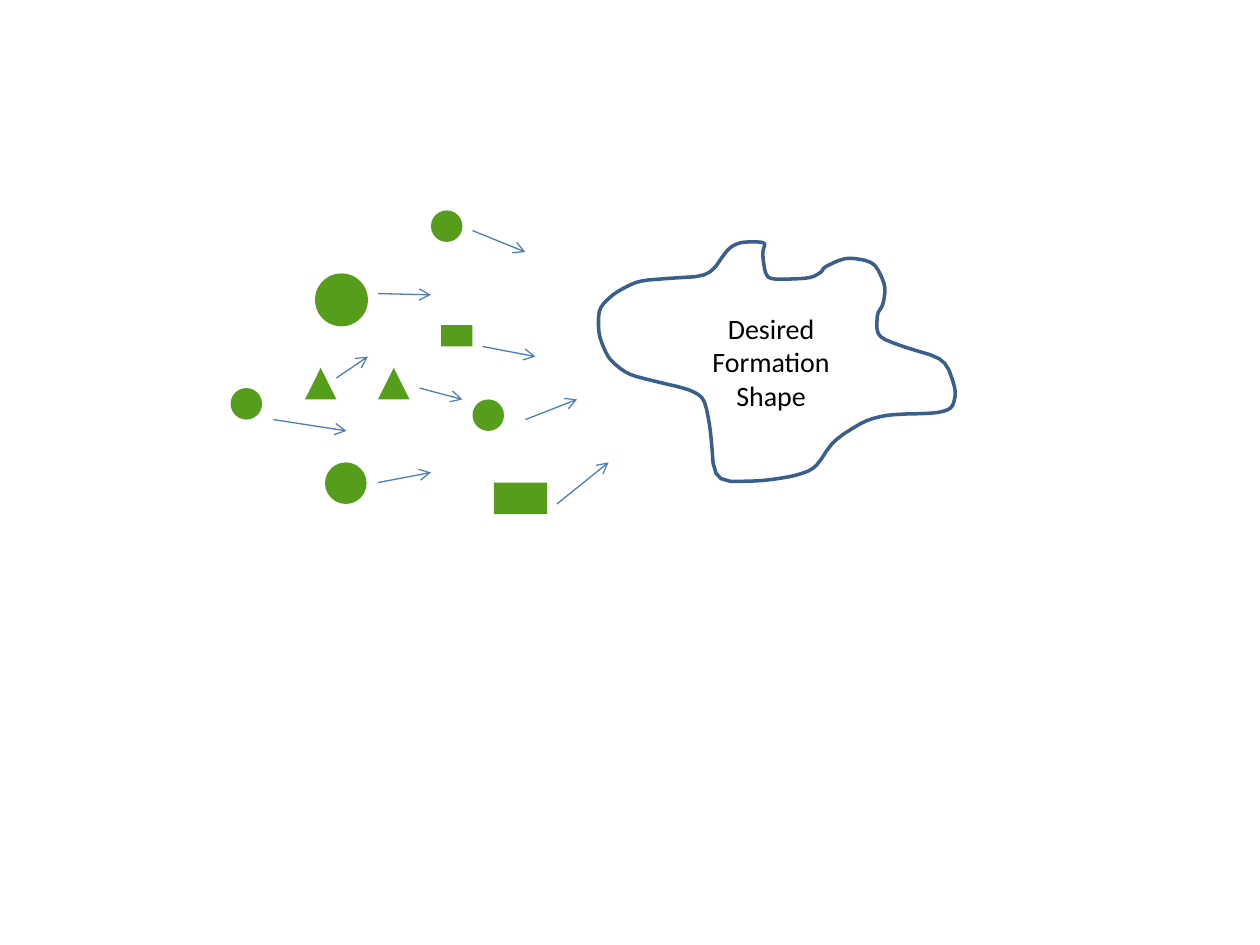
"""Builds a slide of scattered agents moving towards a desired formation shape."""
from dataclasses import dataclass
from typing import NamedTuple

from lxml.etree import SubElement
from pptx import Presentation
from pptx.dml.color import RGBColor
from pptx.enum.shapes import MSO_CONNECTOR as Link, MSO_SHAPE as Preset
from pptx.enum.text import PP_ALIGN as Align
from pptx.oxml.ns import qn
from pptx.util import Inches, Pt


@dataclass(frozen=True)
class Theme:
    agent: RGBColor = RGBColor(0x57, 0x9D, 0x1C)
    arrow: RGBColor = RGBColor(0x4B, 0x7E, 0xBC)
    outline: RGBColor = RGBColor(0x3A, 0x5F, 0x8C)
    text: RGBColor = RGBColor(0, 0, 0)
    font: str = "Calibri"
    text_size: Pt = Pt(16)
    arrow_width: Pt = Pt(0.75)
    outline_width: Pt = Pt(2)


class Agent(NamedTuple):
    preset: Preset
    left: float
    top: float
    width: float = 0.25
    height: float = 0.25


class Arrow(NamedTuple):
    x1: float
    y1: float
    x2: float
    y2: float


THEME = Theme()

AGENTS = [
    Agent(Preset.OVAL, 1.83, 3.08),
    Agent(Preset.OVAL, 2.5, 2.17, 0.42, 0.42),
    Agent(Preset.OVAL, 3.42, 1.67),
    Agent(Preset.OVAL, 3.75, 3.17),
    Agent(Preset.OVAL, 2.58, 3.67, 0.33, 0.33),
    Agent(Preset.ISOSCELES_TRIANGLE, 2.42, 2.92),
    Agent(Preset.ISOSCELES_TRIANGLE, 3, 2.92),
    Agent(Preset.RECTANGLE, 3.92, 3.83, width=0.42),
    Agent(Preset.RECTANGLE, 3.5, 2.58, height=0.17),
]

ARROWS = [
    Arrow(3.75, 1.83, 4.17, 2),
    Arrow(3, 2.33, 3.42, 2.34),
    Arrow(3.83, 2.75, 4.25, 2.83),
    Arrow(4.17, 3.33, 4.58, 3.17),
    Arrow(4.42, 4, 4.83, 3.67),
    Arrow(3.33, 3.08, 3.67, 3.17),
    Arrow(3, 3.83, 3.42, 3.75),
    Arrow(2.17, 3.33, 2.75, 3.42),
    Arrow(2.67, 3, 2.92, 2.83),
]

FORMATION = [
    (6.08, 1.92), (6.05, 2), (6.07, 2.16), (6.11, 2.22), (6.43, 2.21),
    (6.52, 2.16), (6.54, 2.12), (6.72, 2.04), (6.94, 2.08), (7.03, 2.27),
    (7.01, 2.42), (6.96, 2.49), (6.96, 2.67), (7.16, 2.75), (7.5, 2.85),
    (7.59, 3.1), (7.56, 3.24), (7.44, 3.28), (7.05, 3.29), (6.86, 3.34),
    (6.61, 3.5), (6.47, 3.72), (6.3, 3.78), (6.03, 3.82), (5.67, 3.82),
    (5.64, 3.41), (5.59, 3.16), (5.47, 3.09), (5.17, 3.02), (4.98, 2.97),
    (4.83, 2.85), (4.75, 2.66), (4.75, 2.45), (4.87, 2.33), (5.06, 2.23),
    (5.3, 2.21), (5.63, 2.19), (5.78, 1.97), (5.88, 1.92),
]


def round_corners(points: list, cut: float) -> list:
    rounded = []
    for (x1, y1), (x2, y2) in zip(points, points[1:] + points[:1]):
        for t in (cut, 1 - cut):
            rounded.append((x1 + (x2 - x1) * t, y1 + (y2 - y1) * t))
    return rounded


def draw_formation(shapes) -> None:
    curve = round_corners(round_corners(FORMATION, 0.2), 0.25)
    start, *rest = [(Inches(x), Inches(y)) for x, y in curve]
    builder = shapes.build_freeform(*start)
    builder.add_line_segments(rest, close=True)
    formation = builder.convert_to_shape()
    formation.shadow.inherit = False
    formation.fill.background()
    formation.line.color.rgb = THEME.outline
    formation.line.width = THEME.outline_width


def draw_agent(shapes, agent: Agent) -> None:
    shape = shapes.add_shape(agent.preset, *map(Inches, agent[1:]))
    shape.shadow.inherit = False
    shape.fill.solid()
    shape.fill.fore_color.rgb = THEME.agent
    shape.line.fill.background()


def draw_arrow(shapes, arrow: Arrow) -> None:
    connector = shapes.add_connector(Link.STRAIGHT, *map(Inches, arrow))
    connector.line.color.rgb = THEME.arrow
    connector.line.width = THEME.arrow_width
    properties = connector._element.spPr
    SubElement(properties.find(qn("a:ln")), qn("a:tailEnd"), type="arrow")
    SubElement(properties, qn("a:effectLst"))


def draw_label(shapes) -> None:
    box = shapes.add_textbox(Inches(5.33), Inches(2.42), Inches(1.58), Inches(0.91))
    frame = box.text_frame
    frame.word_wrap = True
    frame.text = "Desired Formation\nShape"
    for para in frame.paragraphs:
        para.alignment = Align.CENTER
        para.font.name = THEME.font
        para.font.size = THEME.text_size
        para.font.color.rgb = THEME.text


def main() -> None:
    deck = Presentation()
    deck.slide_width, deck.slide_height = Inches(10), Inches(7.5)
    shapes = deck.slides.add_slide(deck.slide_layouts[6]).shapes
    draw_formation(shapes)
    for agent in AGENTS:
        draw_agent(shapes, agent)
    for arrow in ARROWS:
        draw_arrow(shapes, arrow)
    draw_label(shapes)
    deck.save("out.pptx")


if __name__ == "__main__":
    main()
